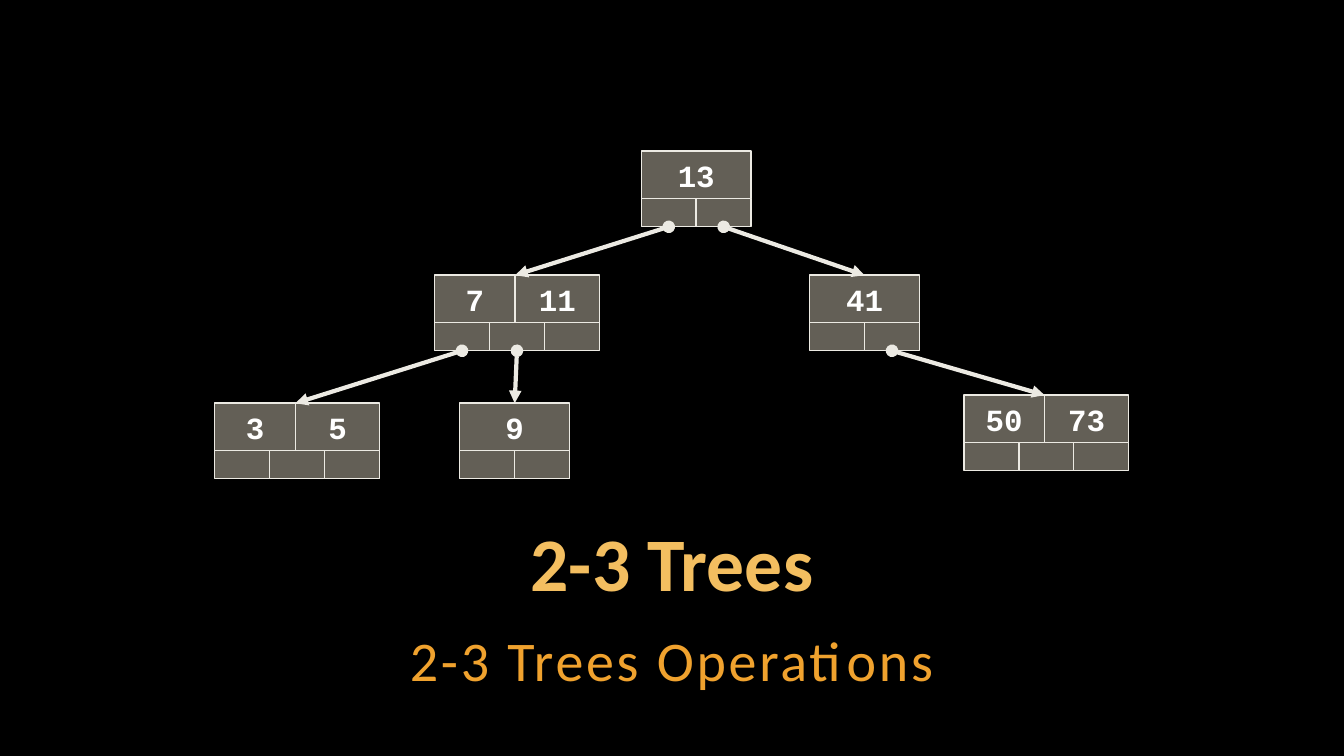
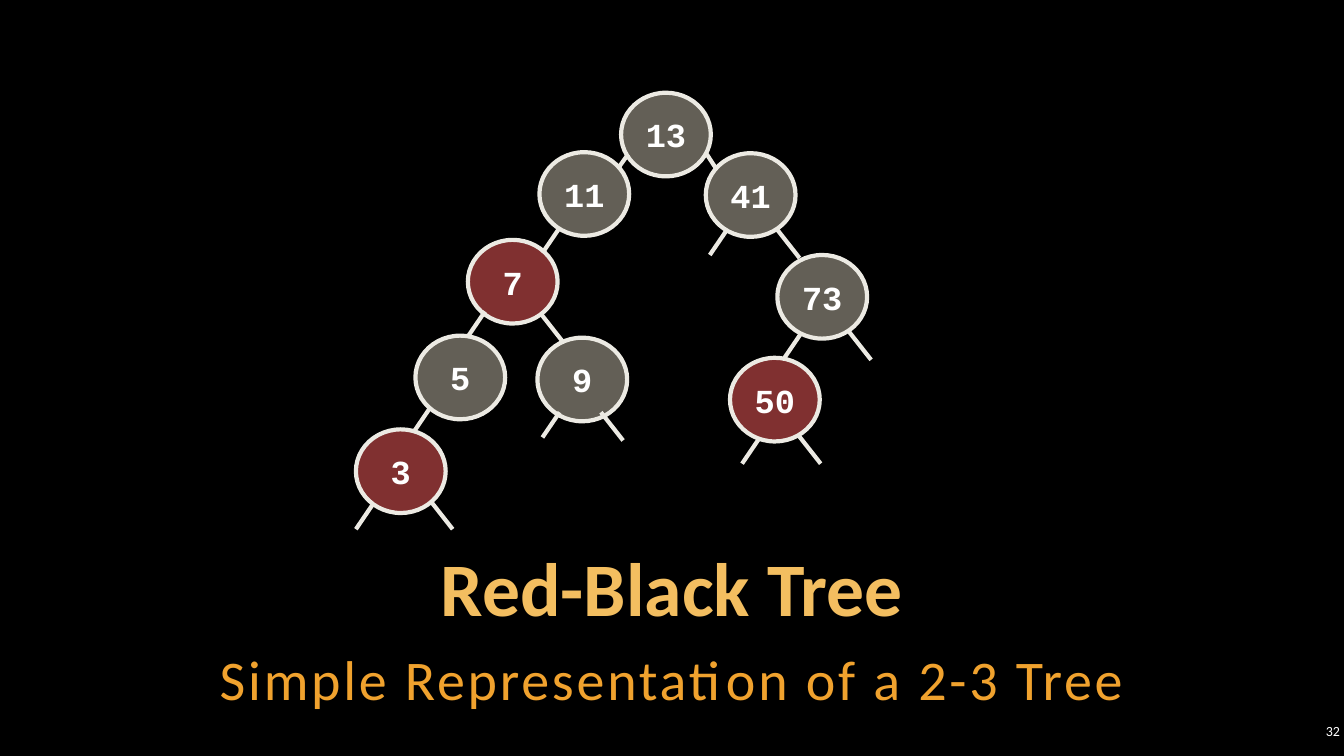
from lxml import etree
from pptx import Presentation
from pptx.dml.color import RGBColor
from pptx.enum import shapes, text
from pptx.oxml.ns import qn
from pptx.util import Inches, Pt

BLACK, WHITE = "000000", "FFFFFF"
GOLD, ORANGE = "F3BE60", "F0A22E"
STONE, RED, IVORY = "C7BFAC", "FF6161", "ECEAE3"
SANS, MONO = "Calibri", "Courier New"
MARGIN, TEXT_W = 1, 11.33
TITLE = {"name": SANS, "size": Pt(54), "bold": True}
SUBTITLE = {"name": SANS, "size": Pt(40), "bold": False}
NUMBER = {"name": SANS, "size": Pt(10), "bold": False}
KEY = {"name": MONO, "size": Pt(22), "bold": True}
CIRCLE_KEY = {**KEY, "size": Pt(24)}
INSETS = ("margin_left", "margin_top", "margin_right", "margin_bottom")

# 2-3 tree: a key row above a row of child pointers
KEY_H, POINTER_W, POINTER_H, FIRST_KEY_W = 0.47, 0.545, 0.28, 0.8
# name: (left, top, keys)
TREE_23 = {
    "root": (6.36, 1.5, ("13",)),
    "left": (4.31, 2.73, ("7", "11")),
    "right": (8.03, 2.73, ("41",)),
    "low": (2.13, 4, ("3", "5")),
    "middle": (4.56, 4, ("9",)),
    "high": (9.56, 3.92, ("50", "73")),
}
# (parent, pointer index, child)
LINKS = [("root", 0, "left"), ("root", 1, "right"), ("left", 0, "low"),
         ("left", 1, "middle"), ("right", 1, "high")]

# Red-black tree: circles with short branches
CIRCLE_W, CIRCLE_H = 0.89, 0.83
LEFT, RIGHT = (-0.17, 0.25), (0.22, 0.28)
ROOT_LEFT, ROOT_RIGHT = (-0.1, 0.14), (0.09, 0.14)
# (key, left, top, fill, [(branch start within the circle's box, direction)])
RED_BLACK = [
    ("13", 6.16, 0.92, STONE, [((0.07, 0.61), ROOT_LEFT), ((0.85, 0.61), ROOT_RIGHT)]),
    ("41", 7, 1.52, STONE, [((0.21, 0.76), LEFT), ((0.71, 0.76), RIGHT)]),
    ("73", 7.71, 2.53, STONE, [((0.24, 0.77), LEFT), ((0.71, 0.76), RIGHT)]),
    ("11", 5.35, 1.51, STONE, [((0.2, 0.75), LEFT)]),
    ("50", 7.24, 3.55, RED, [((0.29, 0.8), LEFT), ((0.68, 0.77), RIGHT)]),
    ("7", 4.64, 2.38, RED, [((0.17, 0.71), LEFT), ((0.73, 0.74), RIGHT)]),
    ("9", 5.33, 3.35, STONE, [((0.22, 0.74), LEFT), ((0.63, 0.74), RIGHT)]),
    ("5", 4.12, 3.33, STONE, [((0.15, 0.71), LEFT)]),
    ("3", 3.53, 4.26, RED, [((0.17, 0.74), LEFT), ((0.74, 0.71), RIGHT)]),
]


def rgb(value):
    return RGBColor.from_string(value)


def write(sp, words, fmt, color, align=text.PP_ALIGN.CENTER,
          anchor=text.MSO_ANCHOR.MIDDLE, wrap=True, inset=None):
    """Put one formatted run into a shape and return its paragraph and run."""
    tf = sp.text_frame
    tf.word_wrap, tf.vertical_anchor = wrap, anchor
    tf.auto_size = text.MSO_AUTO_SIZE.NONE
    if inset is not None:
        for side in INSETS:
            setattr(tf, side, Inches(inset))
    p = tf.paragraphs[0]
    p.alignment = align
    r = p.add_run()
    r.text = words
    for name, value in fmt.items():
        setattr(r.font, name, value)
    r.font.color.rgb = rgb(color)
    return p, r


def add_box(s, kind, box, fill, line_pt):
    """Add a half-transparent outlined shape."""
    sp = s.shapes.add_shape(kind, *map(Inches, box))
    sp.shadow.inherit = False
    sp.fill.solid()
    sp.fill.fore_color.rgb = rgb(fill)
    clr = sp._element.spPr.find(qn("a:solidFill")).find(qn("a:srgbClr"))
    etree.SubElement(clr, qn("a:alpha"), val="50000")
    sp.line.color.rgb = rgb(IVORY)
    sp.line.width = Pt(line_pt)
    return sp


def add_line(s, start, end, arrow=False):
    ends = map(Inches, (*start, *end))
    cxn = s.shapes.add_connector(shapes.MSO_CONNECTOR.STRAIGHT, *ends)
    cxn.line.color.rgb = rgb(IVORY)
    cxn.line.width = Pt(3)
    spPr = cxn._element.spPr
    if arrow:
        ln = spPr.find(qn("a:ln"))
        etree.SubElement(ln, qn("a:headEnd"), type="oval")
        etree.SubElement(ln, qn("a:tailEnd"), type="triangle")
    etree.SubElement(spPr, qn("a:effectLst"))
    return cxn


def add_titled_slide(prs, title, title_top, subtitle, subtitle_top, spacing):
    s = prs.slides.add_slide(prs.slide_layouts[5])
    sp = s.shapes.title
    box = (MARGIN, title_top, TEXT_W, 0.9)
    for name, value in zip(("left", "top", "width", "height"), box):
        setattr(sp, name, Inches(value))
    p, _ = write(sp, title, TITLE, GOLD, anchor=text.MSO_ANCHOR.BOTTOM, inset=0.04)
    p.line_spacing = 0.9

    sp = s.shapes.add_textbox(*map(Inches, (MARGIN, subtitle_top, TEXT_W, 0.79)))
    p, r = write(sp, subtitle, SUBTITLE, ORANGE, anchor=text.MSO_ANCHOR.TOP, inset=0.04)
    p.line_spacing = spacing
    p.space_after = Pt(6)
    r.font._element.set("spc", "200")
    return s


def add_slide_number(s, number):
    sp = s.shapes.add_textbox(*map(Inches, (12.86, 7.14, 0.47, 0.22)))
    write(sp, number, NUMBER, WHITE, align=text.PP_ALIGN.RIGHT, inset=0.04)


def add_23_node(s, left, top, keys):
    """Draw a node and return its key boxes and pointer boxes."""
    rect = shapes.MSO_SHAPE.RECTANGLE
    width = POINTER_W * (len(keys) + 1)
    widths = [width] if len(keys) == 1 else [FIRST_KEY_W, width - FIRST_KEY_W]
    key_boxes, x = [], left
    for key, w in zip(keys, widths):
        sp = add_box(s, rect, (x, top, w, KEY_H), STONE, 1)
        write(sp, key, KEY, WHITE)
        key_boxes.append(sp)
        x += w
    pointers = [add_box(s, rect, (left + i * POINTER_W, top + KEY_H, POINTER_W, POINTER_H),
                        STONE, 1)
                for i in range(len(keys) + 1)]
    return key_boxes, pointers


def add_23_tree(s):
    nodes = {name: add_23_node(s, *node) for name, node in TREE_23.items()}
    for parent, i, child in LINKS:
        left, top, _ = TREE_23[parent]
        start = left + (i + 0.5) * POINTER_W, top + KEY_H + POINTER_H
        left, top, keys = TREE_23[child]
        single = len(keys) == 1
        end = left + (POINTER_W if single else FIRST_KEY_W), top
        cxn = add_line(s, start, end, arrow=True)
        cxn.begin_connect(nodes[parent][1][i], 2)
        if single:
            cxn.end_connect(nodes[child][0][0], 0)


def add_red_black_tree(s):
    for key, left, top, fill, _ in RED_BLACK:
        sp = add_box(s, shapes.MSO_SHAPE.OVAL, (left, top, CIRCLE_W, CIRCLE_H), fill, 3)
        write(sp, key, CIRCLE_KEY, WHITE, wrap=False)
    for _, left, top, _, branches in RED_BLACK:
        for (dx, dy), (run, drop) in branches:
            x, y = left + dx, top + dy
            add_line(s, (x, y), (x + run, y + drop))


def main():
    prs = Presentation()
    prs.slide_width, prs.slide_height = Inches(13.33), Inches(7.5)
    fill = prs.slide_master.background.fill
    fill.solid()
    fill.fore_color.rgb = rgb(BLACK)

    s = add_titled_slide(prs, "2-3 Trees", 5.17, "2-3 Trees Operations", 6.13, 1.05)
    add_23_tree(s)

    s = add_titled_slide(prs, "Red-Black Tree", 5.42,
                         "Simple Representation of a 2-3 Tree", 6.29, 1.1)
    add_slide_number(s, "32")
    add_red_black_tree(s)

    prs.save("out.pptx")


if __name__ == "__main__":
    main()
